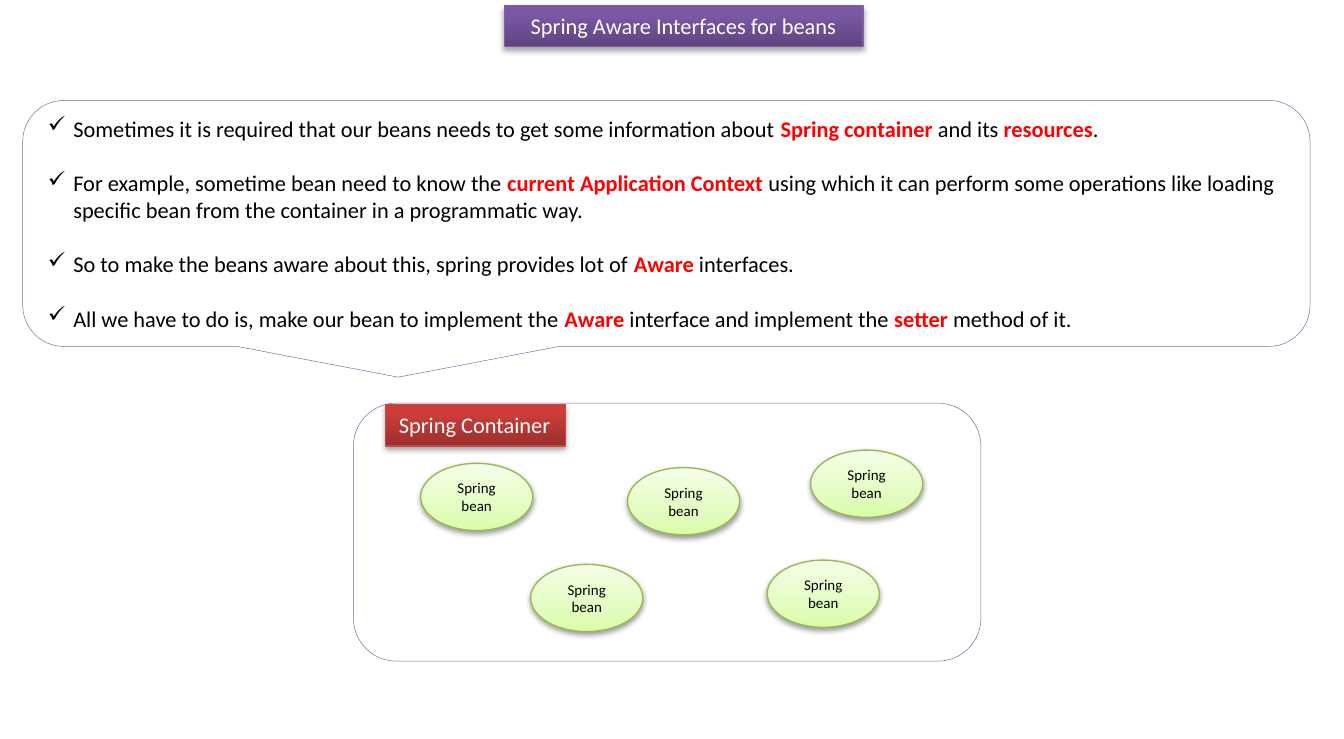
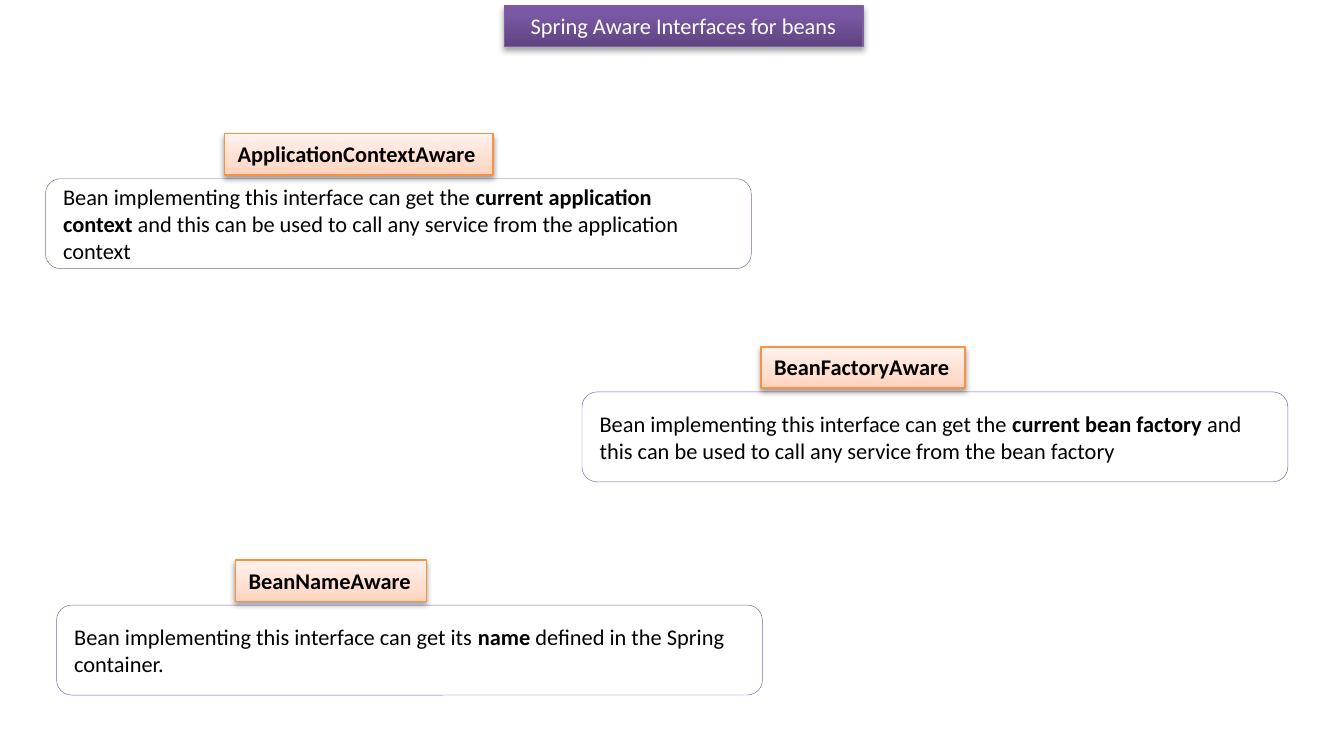
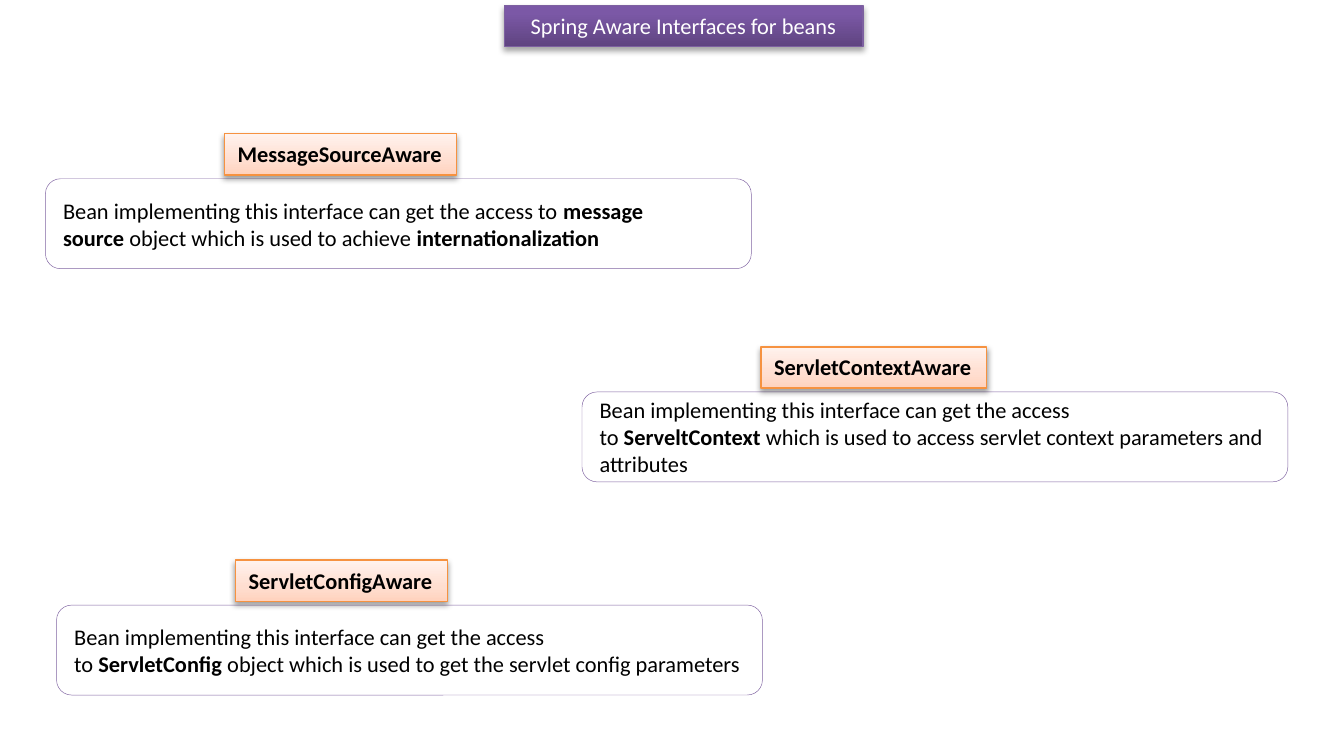
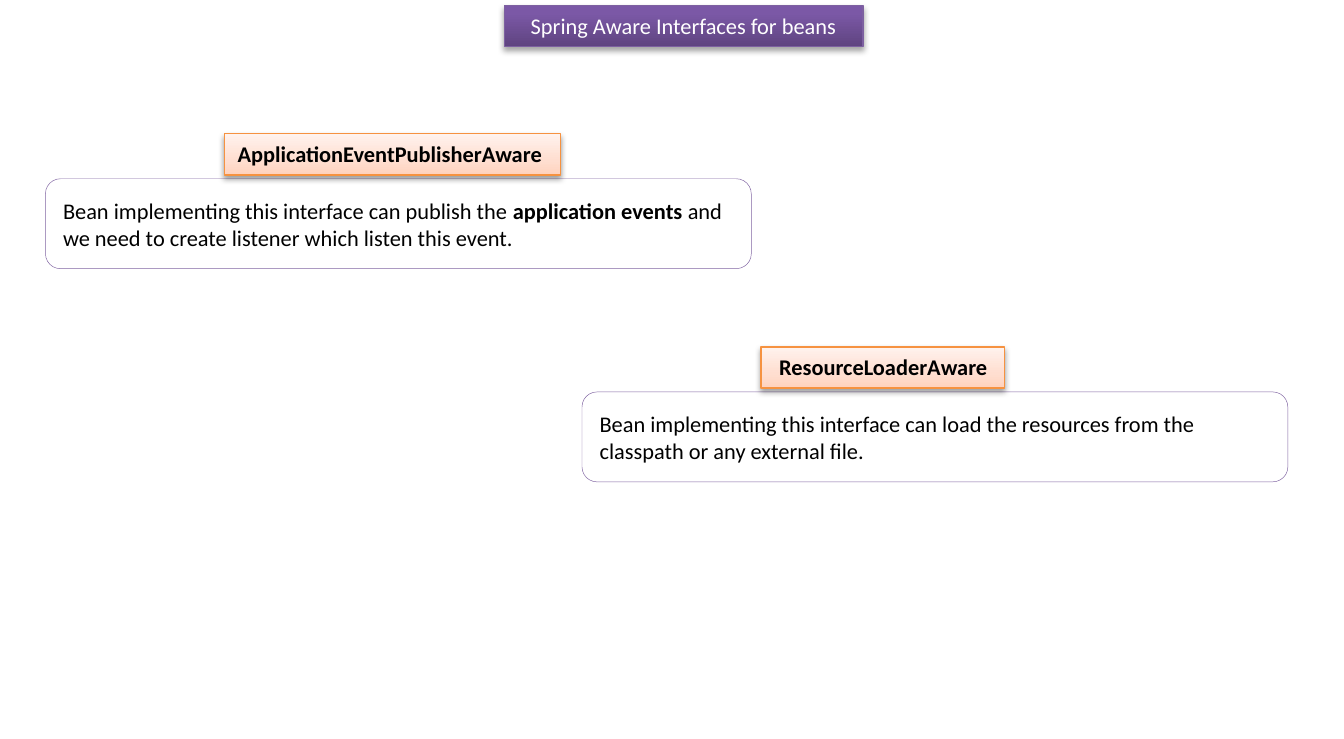
from dataclasses import dataclass

from lxml.etree import SubElement
from pptx import Presentation
from pptx.dml.color import RGBColor
from pptx.enum.shapes import MSO_SHAPE as Shape
from pptx.enum.text import MSO_ANCHOR as Anchor, MSO_AUTO_SIZE as AutoSize, PP_ALIGN as Align
from pptx.oxml.ns import qn
from pptx.util import Cm, Pt


@dataclass(frozen=True)
class Look:
    """A glossy surface: gradient stops from bottom to top, outline, shadow opacity and distance."""
    stops: tuple
    line: str
    opacity: int
    distance: float


class Theme:
    font = "Calibri"
    body_size = 12
    bean_size = 8
    line_gap = 14.65
    black = "000000"
    white = "FFFFFF"
    accent = "FF0000"
    outline = "8064A2"
    thin = 0.25
    medium = 0.75
    shadow_blur = 3.1
    purple = Look(((0, "5F4480"), (80, "7B58A6"), (100, "7C57A8")), "7D60A0", 35, 1.8)
    red = Look(((0, "9C2F2D"), (80, "CB3E3A"), (100, "CE3B37")), "BF4C48", 35, 1.8)
    green = Look(((0, "DAFDA7"), (35, "E4FCC2"), (100, "F5FFE7")), "98B955", 38, 1.6)
    peach = Look(((0, "FFD2BD"), (35, "FFDED0"), (100, "FFF2ED")), "F69240", 38, 1.6)


TITLE = "Spring Aware Interfaces for beans"
LABEL_HEIGHT = 0.78
CARD_WIDTH, CARD_HEIGHT = 13.34, 1.7
CARD_LEFTS = (0.86, 11, 1.07)
CARD_TOP, CARD_STEP = 3.38, 4.03
LABEL_SHIFT, LABEL_RISE = 3.38, 0.85
BEAN_WIDTH, BEAN_HEIGHT = 2.12, 1.27
BEANS = ((7.95, 8.76), (10.03, 10.67), (14.5, 10.59), (11.86, 8.84), (15.32, 8.51))

# In these texts *stars* enclose emphasis and ~ is a no-break space.
INTRO = (
    "Sometimes it is required that our beans needs to get some information about~"
    "*Spring container*~and its~*resources*.",
    "For example, sometime bean need to know the~*current Application Context~*"
    "using which it can perform some operations like loading specific bean "
    "from the container in a programmatic way.",
    "So to make the beans aware about this, spring provides lot of~*Aware*~interfaces.",
    "All we have to do is, make our bean to implement the~*Aware*~interface "
    "and implement the~*setter~*method of it.",
)

# Each card: interface name, width of its label, description.
CARD_PAGES = (
    (
        ("ApplicationContextAware", 5.08,
         "Bean implementing this interface can get the~*current application context*"
         "~and this can be used to call any service from the application context"),
        ("BeanFactoryAware", 3.86,
         "Bean implementing this interface can get the~*current bean factory*"
         "~and this can be used to call any service from the bean factory"),
        ("BeanNameAware", 3.61,
         "Bean implementing this interface can get its~*name~*defined in the Spring container."),
    ),
    (
        ("MessageSourceAware", 4.39,
         "Bean implementing this interface can get the access to*~message source*"
         "~object which is used to achieve~*internationalization*"),
        ("ServletContextAware", 4.27,
         "Bean implementing this interface can get the access to~*ServeltContext~*"
         "which is used to access servlet context parameters and attributes"),
        ("ServletConfigAware", 4.01,
         "Bean implementing this interface can get the access to~*ServletConfig~*"
         "object which is used to get the servlet config parameters"),
    ),
    (
        ("ApplicationEventPublisherAware", 6.35,
         "Bean implementing this interface can publish the~*application events*"
         "~and we need to create listener which listen this event."),
        ("~ResourceLoaderAware", 4.6,
         "Bean implementing this interface can load the resources from the "
         "classpath or any external file."),
    ),
)


def add_outlined(page, kind, left, top, width, height, line, weight):
    box = page.shapes.add_shape(kind, Cm(left), Cm(top), Cm(width), Cm(height))
    box.shadow.inherit = False
    box.line.color.rgb = RGBColor.from_string(line)
    box.line.width = Pt(weight)
    return box


def add_panel(page, kind, left, top, width, height):
    """Add a white shape with a hairline outline."""
    box = add_outlined(page, kind, left, top, width, height, Theme.outline, Theme.thin)
    box.fill.solid()
    box.fill.fore_color.rgb = RGBColor.from_string(Theme.white)
    box.text_frame.vertical_anchor = Anchor.MIDDLE
    return box


def add_color(parent, color):
    return SubElement(parent, qn("a:srgbClr"), val=color)


def add_glossy(page, kind, left, top, width, height, look):
    """Add a shape with a vertical gradient and a soft shadow below it."""
    box = add_outlined(page, kind, left, top, width, height, look.line, Theme.medium)
    box.fill.gradient()
    box.fill.gradient_angle = 90
    properties = box.element.spPr
    stops = properties.find(qn("a:gradFill")).find(qn("a:gsLst"))
    for stop in list(stops):
        stops.remove(stop)
    for position, color in look.stops:
        add_color(SubElement(stops, qn("a:gs"), pos=str(position * 1000)), color)
    shadow = SubElement(
        properties.find(qn("a:effectLst")), qn("a:outerShdw"),
        blurRad=str(Pt(Theme.shadow_blur)), dist=str(Pt(look.distance)),
        dir=str(90 * 60000), rotWithShape="0")
    SubElement(add_color(shadow, Theme.black), qn("a:alpha"), val=str(look.opacity * 1000))
    return box


def add_text(para, text, size=Theme.body_size, color=Theme.black, emphasis=Theme.black,
             align=Align.LEFT):
    """Fill a paragraph run by run; parts between stars are bold in the emphasis colour."""
    para.alignment = align
    for index, part in enumerate(text.replace("~", chr(160)).split("*")):
        if part:
            bold = index % 2 == 1
            span = para.add_run()
            span.text = part
            span.font.name = Theme.font
            span.font.size = Pt(size)
            span.font.bold = bold
            span.font.color.rgb = RGBColor.from_string(emphasis if bold else color)


def add_check_mark(para):
    properties = para._p.get_or_add_pPr()
    indent = Cm(0.48)
    properties.set("marL", str(indent))
    properties.set("indent", str(-indent))
    SubElement(properties, qn("a:buChar"), char="✓")


def add_label(page, left, top, width, look, text, wrap=False, **style):
    box = add_glossy(page, Shape.RECTANGLE, left, top, width, LABEL_HEIGHT, look)
    frame = box.text_frame
    frame.word_wrap = wrap
    frame.auto_size = AutoSize.SHAPE_TO_FIT_TEXT
    frame.vertical_anchor = Anchor.TOP
    add_text(frame.paragraphs[0], text, **style)


def add_bean(page, left, top):
    box = add_glossy(page, Shape.OVAL, left, top, BEAN_WIDTH, BEAN_HEIGHT, Theme.green)
    box.text_frame.vertical_anchor = Anchor.MIDDLE
    add_text(box.text_frame.paragraphs[0], "Spring bean", size=Theme.bean_size,
             align=Align.CENTER)


def add_callout(page, points):
    box = add_panel(page, Shape.ROUNDED_RECTANGULAR_CALLOUT, 0.43, 1.9, 24.33, 4.65)
    frame = box.text_frame
    for index, point in enumerate(points):
        para = frame.add_paragraph() if index else frame.paragraphs[0]
        if index:
            para.space_before = Pt(Theme.line_gap)
        add_text(para, point, emphasis=Theme.accent)
        add_check_mark(para)


def add_card(page, slot, name, label_width, description):
    left, top = CARD_LEFTS[slot], CARD_TOP + slot * CARD_STEP
    box = add_panel(page, Shape.ROUNDED_RECTANGLE, left, top, CARD_WIDTH, CARD_HEIGHT)
    add_text(box.text_frame.paragraphs[0], description)
    add_label(page, left + LABEL_SHIFT, top - LABEL_RISE, label_width, Theme.peach, f"*{name}*")


def add_page(deck):
    page = deck.slides.add_slide(deck.slide_layouts[6])
    add_label(page, 9.53, 0.1, 6.78, Theme.purple, TITLE, wrap=True,
              color=Theme.white, align=Align.CENTER)
    return page


def add_intro_page(deck):
    page = add_page(deck)
    add_panel(page, Shape.ROUNDED_RECTANGLE, 6.68, 7.62, 11.86, 4.88)
    add_label(page, 7.29, 7.65, 3.4, Theme.red, "Spring Container", color=Theme.white)
    for left, top in BEANS:
        add_bean(page, left, top)
    add_callout(page, INTRO)


def main():
    deck = Presentation()
    deck.slide_width, deck.slide_height = Cm(25.4), Cm(13.97)
    add_intro_page(deck)
    for cards in CARD_PAGES:
        page = add_page(deck)
        for slot, card in enumerate(cards):
            add_card(page, slot, *card)
    deck.save("out.pptx")


if __name__ == "__main__":
    main()
